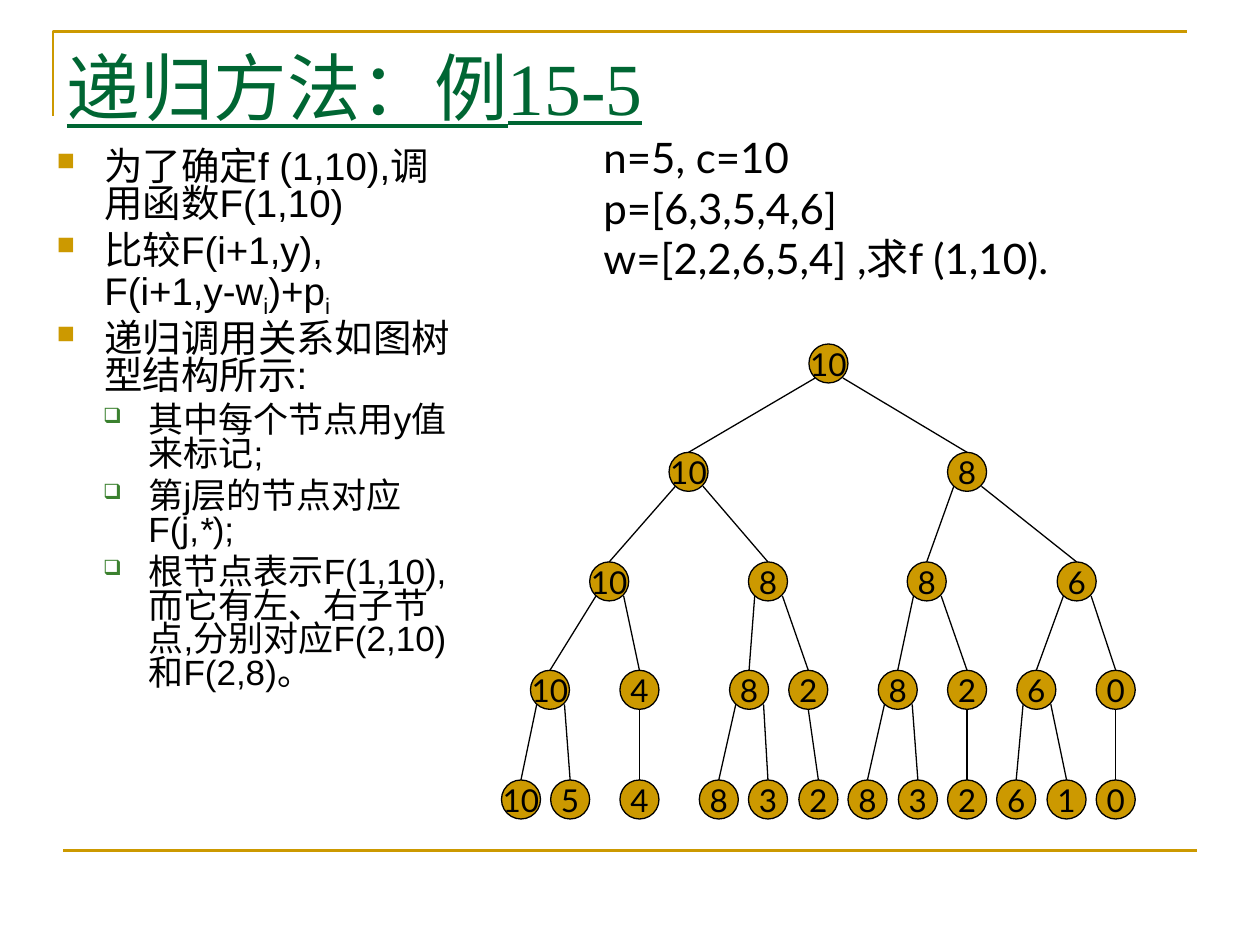
from lxml import etree
from pptx import Presentation
from pptx.dml.color import RGBColor
from pptx.enum.shapes import MSO_CONNECTOR, MSO_SHAPE
from pptx.enum.text import MSO_ANCHOR, PP_ALIGN
from pptx.oxml.ns import qn
from pptx.util import Inches, Pt

GOLD = RGBColor(0xCC, 0x99, 0x00)
GREEN = RGBColor(0x00, 0x66, 0x33)
BULLET_GREEN = RGBColor(0x3B, 0x81, 0x2F)
BLACK = RGBColor(0, 0, 0)
STRAIGHT = MSO_CONNECTOR.STRAIGHT
OVAL = MSO_SHAPE.OVAL
TOP, MIDDLE = MSO_ANCHOR.TOP, MSO_ANCHOR.MIDDLE
LEFT, CENTER = PP_ALIGN.LEFT, PP_ALIGN.CENTER


def write(frame, *parts, font, size, color=BLACK, align=LEFT, spacing=1.0, before=0,
          underline=None, accent=None, bullet=None):
    """Write one paragraph; every second part takes the accent style."""
    first = not frame.paragraphs[0].runs
    para = frame.paragraphs[0] if first else frame.add_paragraph()
    if bullet:
        mark, mark_color, percent, margin, hang = bullet
        props = para._p.get_or_add_pPr()
        props.set("marL", str(Inches(margin)))
        props.set("indent", str(-Inches(hang)))
        bullet_color = etree.SubElement(props, qn("a:buClr"))
        etree.SubElement(bullet_color, qn("a:srgbClr"), val=str(mark_color))
        etree.SubElement(props, qn("a:buSzPct"), val=str(percent * 1000))
        etree.SubElement(props, qn("a:buChar"), char=mark)
    para.alignment = align
    para.line_spacing = spacing
    para.space_before = Pt(0 if first else before)
    for index, part in enumerate(parts):
        span = para.add_run()
        span.text = part
        span.font.name = font
        span.font.size = Pt(size)
        span.font.color.rgb = color
        span.font.underline = underline
        if index % 2 and accent == "subscript":
            span._r.get_or_add_rPr().set("baseline", "-25000")
        elif index % 2 and accent == "italic":
            span.font.italic = True


def draw_line(page, start, end, color, width):
    line = page.shapes.add_connector(STRAIGHT, *map(Inches, start + end))
    line.line.color.rgb = color
    line.line.width = Pt(width)
    etree.SubElement(line._element.spPr, qn("a:effectLst"))
    return line


deck = Presentation()
deck.slide_width, deck.slide_height = Inches(10), Inches(7.5)
page = deck.slides.add_slide(deck.slide_layouts[5])

# Corner rule at the top and rule at the bottom
builder = page.shapes.build_freeform(Inches(0.42), Inches(0.92))
builder.add_line_segments([(Inches(0.42), Inches(0.25)), (Inches(9.42), Inches(0.25))],
                          close=False)
corner = builder.convert_to_shape()
corner.fill.background()
corner.line.color.rgb = GOLD
corner.line.width = Pt(1.5)
corner.shadow.inherit = False
draw_line(page, (0.5, 6.75), (9.5, 6.75), GOLD, 1.5)

# Title
title = page.shapes.title
title.left, title.top, title.width, title.height = map(Inches, (0.43, 0.28, 9, 0.69))
title.text_frame.vertical_anchor = TOP
write(title.text_frame, "递归方法：例15-5", font="Times New Roman", size=42, color=GREEN,
      underline=True)

# Explanation on the left
body = page.shapes.add_textbox(*map(Inches, (0.35, 1.15, 3.41, 5.63))).text_frame
body.word_wrap = True
point = dict(font="Arial", size=22, spacing=0.8, before=5.5,
             bullet=("■", GOLD, 65, 0.38, 0.38))
detail = dict(font="Arial", size=20, spacing=0.8, before=5,
              bullet=("❑", BULLET_GREEN, 60, 0.73, 0.36))
write(body, "为了确定f (1,10),调用函数F(1,10)", **point)
write(body, "比较F(i+1,y), F(i+1,y-w", "i", ")+p", "i", accent="subscript", **point)
write(body, "递归调用关系如图树型结构所示:", **point)
write(body, "其中每个节点用y值来标记;", **detail)
write(body, "第j层的节点对应F(j,", "*", ");", accent="italic", **detail)
write(body, "根节点表示F(1,10),而它有左、右子节点,分别对应F(2,10)和F(2,8)。", **detail)

# Given values
given = page.shapes.add_textbox(*map(Inches, (4.69, 1.07, 4.79, 1.23))).text_frame
given.word_wrap = True
for text in ("n=5, c=10", "p=[6,3,5,4,6]", "w=[2,2,6,5,4] ,求f (1,10)."):
    write(given, text, font="Lato", size=24, spacing=0.8, before=6)

# Tree nodes: top of each row, then label, left edge and number of children
SIZE = 0.31
TREE = [
    (2.73, [(10, 6.42, 2)]),
    (3.59, [(10, 5.31, 2), (8, 7.52, 2)]),
    (4.46, [(10, 4.68, 2), (8, 5.94, 2), (8, 7.2, 2), (6, 8.39, 2)]),
    (5.32, [(10, 4.21, 2), (4, 4.92, 1), (8, 5.79, 2), (2, 6.26, 1),
            (8, 6.97, 2), (2, 7.52, 1), (6, 8.07, 2), (0, 8.7, 1)]),
    (6.19, [(10, 3.98, 0), (5, 4.37, 0), (4, 4.92, 0), (8, 5.55, 0),
            (3, 5.94, 0), (2, 6.34, 0), (8, 6.73, 0), (3, 7.13, 0),
            (2, 7.52, 0), (6, 7.91, 0), (1, 8.31, 0), (0, 8.7, 0)]),
]
circles = []
for top, nodes in TREE:
    row = []
    for label, left, _ in nodes:
        circle = page.shapes.add_shape(OVAL, *map(Inches, (left, top, SIZE, SIZE)))
        circle.shadow.inherit = False
        circle.fill.solid()
        circle.fill.fore_color.rgb = GOLD
        circle.line.color.rgb = BLACK
        circle.line.width = Pt(0.75)
        frame = circle.text_frame
        frame.margin_left = frame.margin_right = frame.margin_top = frame.margin_bottom = 0
        frame.word_wrap = False
        frame.vertical_anchor = MIDDLE
        write(frame, str(label), font="Lato", size=18, align=CENTER)
        row.append(circle)
    circles.append(row)

# Tree edges: each parent takes its children from the next row in order
STARTS = {1: [(SIZE / 2, SIZE)], 2: [(0.05, 0.27), (0.27, 0.27)]}
for (top, nodes), (child_top, _), next_row in zip(TREE, TREE[1:], circles[1:]):
    children = iter(next_row)
    for _, left, count in nodes:
        for across, down in STARTS[count]:
            edge = draw_line(page, (left + across, top + down), (left, child_top), BLACK, 0.75)
            edge.end_connect(next(children), 0)

deck.save("out.pptx")
